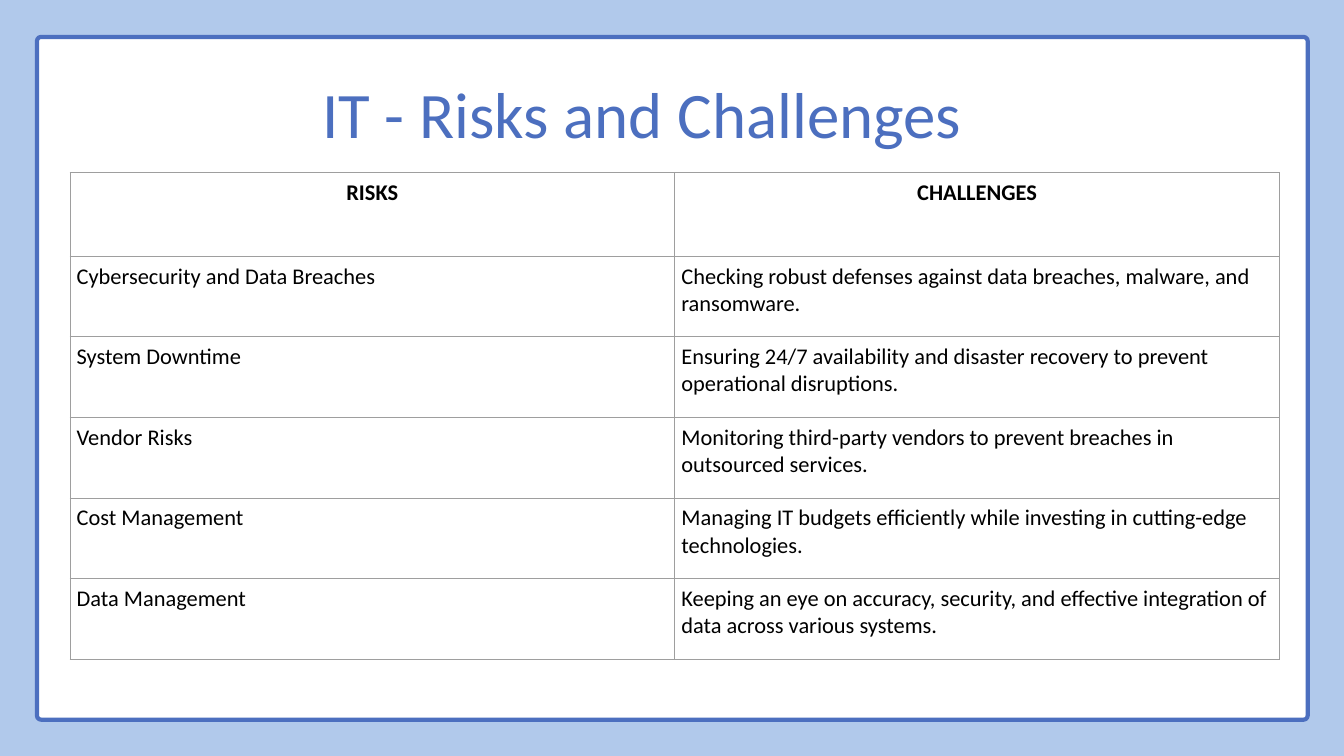
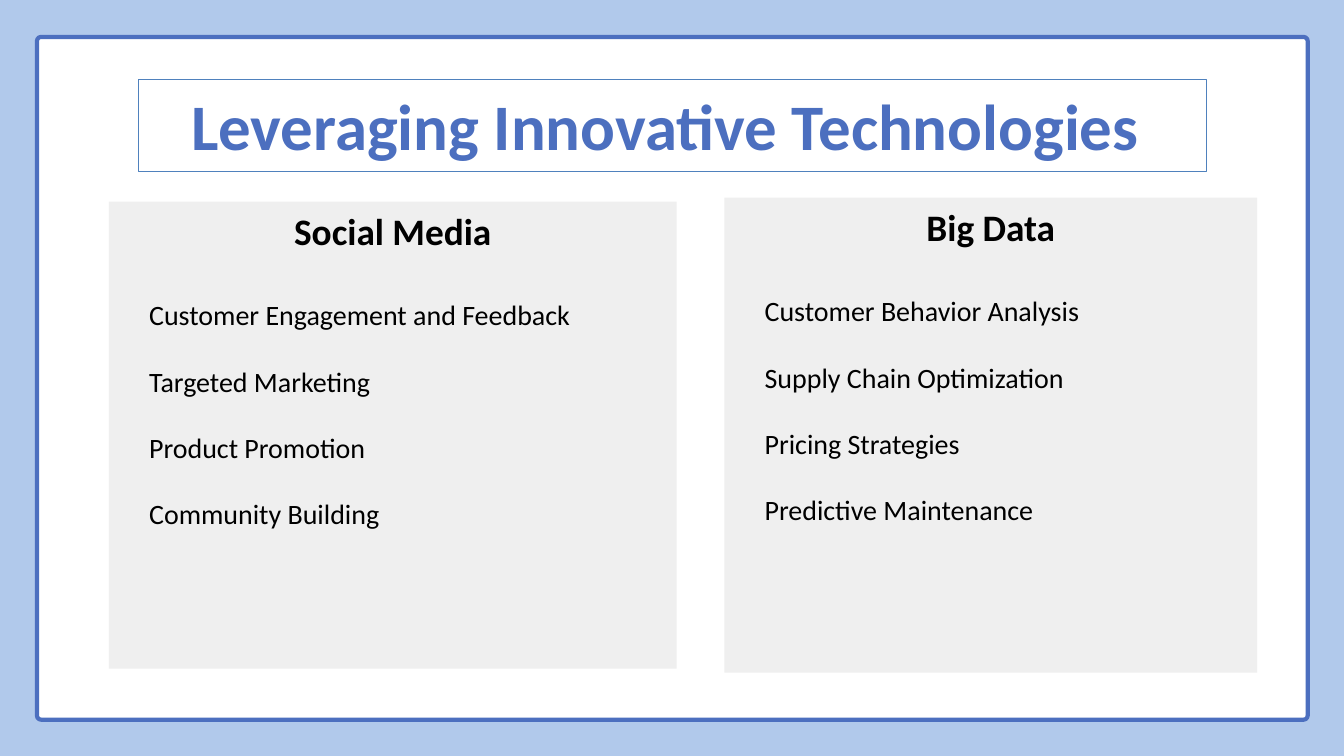
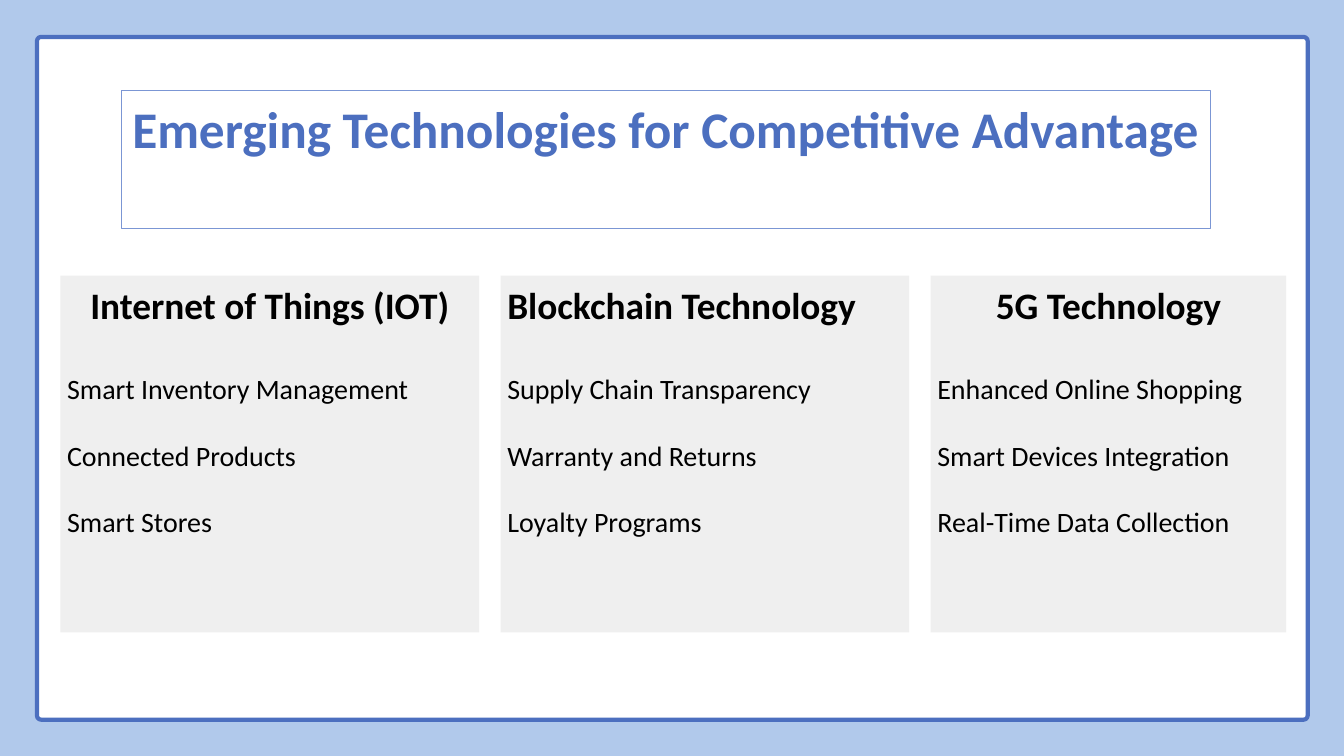
from lxml import etree
from pptx import Presentation
from pptx.dml.color import RGBColor
from pptx.enum.shapes import MSO_SHAPE
from pptx.enum.text import MSO_ANCHOR, PP_ALIGN
from pptx.oxml.ns import qn
from pptx.util import Emu, Pt

PX = 9144
FONT = "Calibri"
INSET = 10
LEFT, CENTER = PP_ALIGN.LEFT, PP_ALIGN.CENTER
TOP = MSO_ANCHOR.TOP
RECTANGLE, ROUNDED = MSO_SHAPE.RECTANGLE, MSO_SHAPE.ROUNDED_RECTANGLE
COLORS = {
    "sky": "B1C9EB",
    "blue": "4C6FBF",
    "steel": "4F81BD",
    "periwinkle": "7B96D4",
    "white": "FFFFFF",
    "panel": "EFEFEF",
    "grid": "9E9E9E",
    "ink": "000000",
}
RISKS = [
    ("RISKS", "CHALLENGES"),
    ("Cybersecurity and Data Breaches",
     "Checking robust defenses against data breaches, malware, and ransomware."),
    ("System Downtime",
     "Ensuring 24/7 availability and disaster recovery to prevent operational disruptions."),
    ("Vendor Risks",
     "Monitoring third-party vendors to prevent breaches in outsourced services."),
    ("Cost Management",
     "Managing IT budgets efficiently while investing in cutting-edge technologies."),
    ("Data Management",
     "Keeping an eye on accuracy, security, and effective integration of data across various systems."),
]
INNOVATIONS = [
    ((162, 300, 845, 695), CENTER, "Social Media",
     ["Customer Engagement and Feedback", "Targeted Marketing",
      "Product Promotion", "Community Building"]),
    ((1078, 294, 793, 707), CENTER, "Big Data",
     ["Customer Behavior Analysis", "Supply Chain Optimization",
      "Pricing Strategies", "Predictive Maintenance"]),
]
EMERGING = [
    ((90, 410, 623, 531), CENTER, "Internet of Things (IOT)",
     ["Smart Inventory Management", "Connected Products", "Smart Stores"]),
    ((745, 410, 608, 531), LEFT, "Blockchain Technology",
     ["Supply Chain Transparency", "Warranty and Returns", "Loyalty Programs"]),
    ((1385, 410, 529, 531), CENTER, "5G Technology",
     ["Enhanced Online Shopping", "Smart Devices Integration",
      "Real-Time Data Collection"]),
]


def px(length):
    """Turn px into EMU."""
    return Emu(length * PX)


def color(name):
    """Look up a named colour."""
    return RGBColor.from_string(COLORS[name])


def set_margins(holder):
    """Give a text frame or table cell the common insets."""
    holder.margin_left = holder.margin_right = px(INSET)
    holder.margin_top = holder.margin_bottom = px(INSET)


def style_para(para, text, size, ink="ink", bold=False, align=LEFT):
    """Write one paragraph in the deck's font."""
    para.text = text
    para.alignment = align
    para.font.name = FONT
    para.font.size = Pt(size)
    para.font.bold = bold
    para.font.color.rgb = color(ink)


def add_box(page, box, kind=RECTANGLE, fill=None, line=None, weight=0.75):
    """Draw a flat shape with optional fill and outline."""
    shape = page.shapes.add_shape(kind, *map(px, box))
    shape.shadow.inherit = False
    if fill:
        shape.fill.solid()
        shape.fill.fore_color.rgb = color(fill)
    else:
        shape.fill.background()
    if line:
        shape.line.color.rgb = color(line)
        shape.line.width = Pt(weight)
    else:
        shape.line.fill.background()
    frame = shape.text_frame
    frame.word_wrap = True
    frame.vertical_anchor = TOP
    set_margins(frame)
    return shape


def add_page(deck):
    """Add a slide with the blue surround and white framed sheet."""
    page = deck.slides.add_slide(deck.slide_layouts[6])
    page.background.fill.solid()
    page.background.fill.fore_color.rgb = color("sky")
    sheet = add_box(page, (55, 55, 1891, 1016), ROUNDED, "white", "blue", 4.5)
    sheet.adjustments[0] = 0.006
    return page


def add_title(page, box, text, size, bold=True, line=None):
    """Place a centred blue title, outlined if a line colour is given."""
    para = add_box(page, box, line=line).text_frame.paragraphs[0]
    style_para(para, text, size, "blue", bold, CENTER)
    return para


def add_panel(page, box, align, heading, items, indent):
    """Fill a grey panel with a heading and spaced items."""
    frame = add_box(page, box, fill="panel").text_frame
    style_para(frame.paragraphs[0], heading, 40, bold=True, align=align)
    for index, item in enumerate(items):
        para = frame.add_paragraph()
        style_para(para, item, 30)
        para.space_before = Pt(35 if index else 48)
        para._p.get_or_add_pPr().set("marL", str(px(indent)))


def outline_cell(cell):
    """Draw thin grey borders on all four sides of a cell."""
    properties = cell._tc.get_or_add_tcPr()
    for index, side in enumerate(("lnL", "lnR", "lnT", "lnB")):
        border = etree.Element(qn(f"a:{side}"), w=str(Pt(0.75)))
        fill = etree.SubElement(border, qn("a:solidFill"))
        etree.SubElement(fill, qn("a:srgbClr"), val=COLORS["grid"])
        properties.insert(index, border)


def add_risk_table(page, box, rows, header_height):
    """Build the two-column table of risks and challenges."""
    left, top, width, height = box
    table = page.shapes.add_table(
        len(rows), len(rows[0]), px(left), px(top), px(width), px(height)).table
    table.first_row = table.horz_banding = False
    row_height = (height - header_height) // (len(rows) - 1)
    for row, texts in enumerate(rows):
        header = row == 0
        table.rows[row].height = px(header_height if header else row_height)
        for column, text in enumerate(texts):
            cell = table.cell(row, column)
            cell.fill.background()
            set_margins(cell)
            outline_cell(cell)
            style_para(cell.text_frame.paragraphs[0], text, 24,
                       bold=header, align=CENTER if header else LEFT)


def risks_page(deck):
    """Slide with the table of IT risks."""
    page = add_page(deck)
    title = add_title(page, (317, 79, 1298, 187), "IT - Risks and Challenges ",
                      69.5, bold=False)
    title.line_spacing = 1.18
    add_risk_table(page, (104, 257, 1800, 724), RISKS, 124)


def panels_page(deck, title_box, title, size, line, panels, indent=0):
    """Slide with an outlined title above grey panels."""
    page = add_page(deck)
    add_title(page, title_box, title, size, line=line)
    for panel in panels:
        add_panel(page, *panel, indent)


def main():
    """Build and save the deck."""
    deck = Presentation()
    deck.slide_width, deck.slide_height = px(2000), px(1125)
    risks_page(deck)
    panels_page(deck, (206, 118, 1589, 137), "Leveraging Innovative Technologies ",
                69.5, "steel", INNOVATIONS, indent=50)
    panels_page(deck, (180, 135, 1621, 205),
                "Emerging Technologies for Competitive Advantage",
                55, "periwinkle", EMERGING)
    deck.save("out.pptx")


if __name__ == "__main__":
    main()
